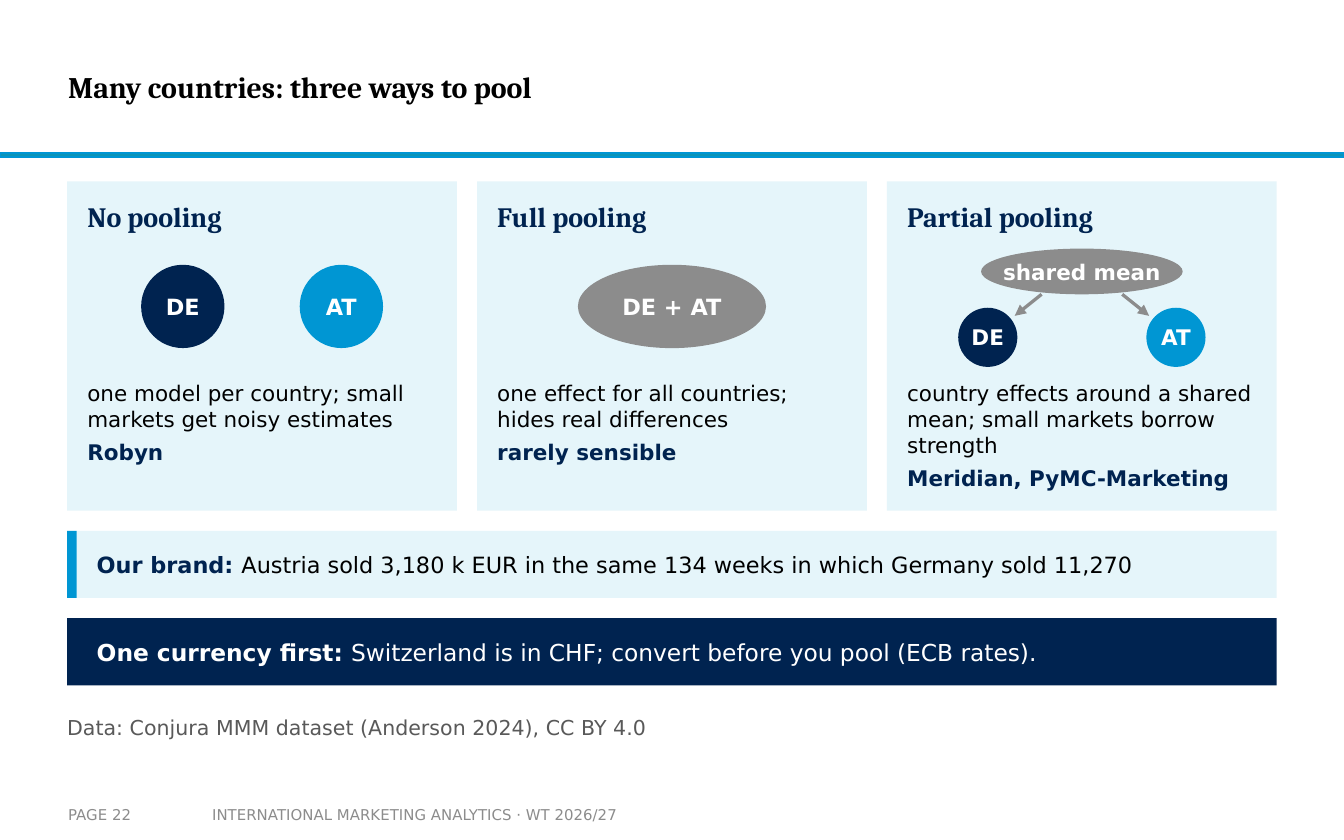
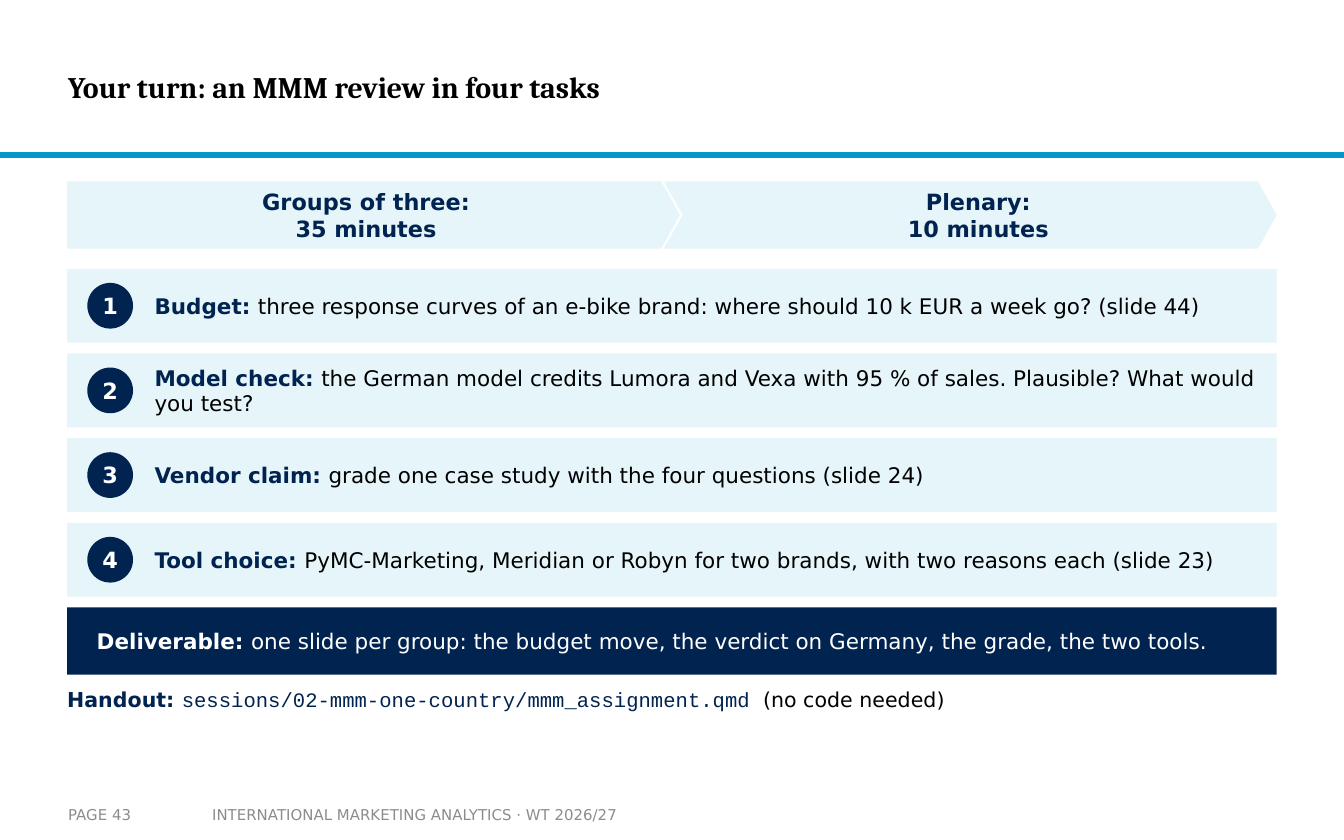
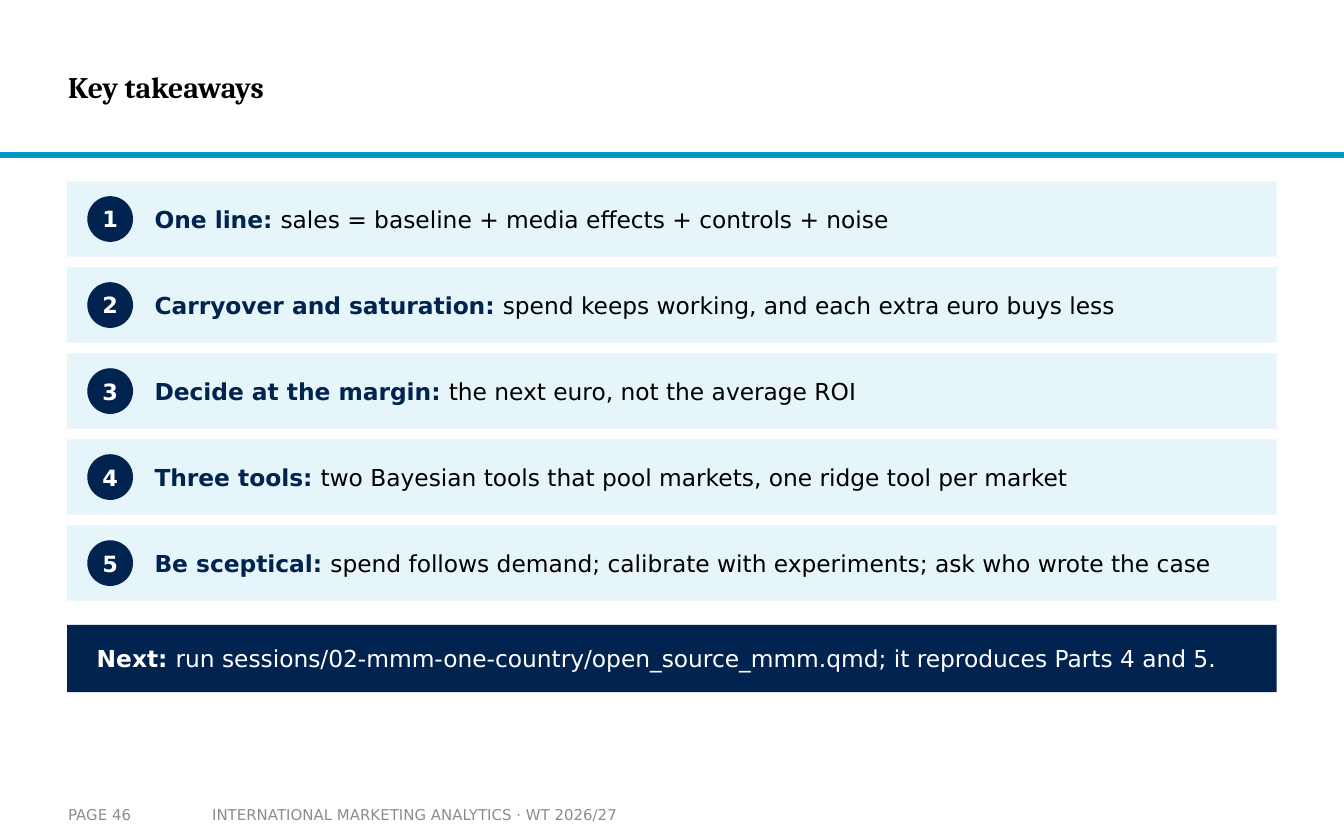
from lxml import etree
from pptx import Presentation
from pptx.dml.color import RGBColor
from pptx.enum import shapes, text
from pptx.oxml import ns
from pptx.util import Pt

NAVY, BLUE, PALE, GREY = "002350", "0096D3", "E5F5FA", "8C8C8C"
BLACK, WHITE, NOTE, BAND = "000000", "FFFFFF", "595959", "0C94B7"
SERIF, SANS, MONO = "Cambria", "DejaVu Sans", "Courier New"
SHAPE, ALIGN, ANCHOR = shapes.MSO_SHAPE, text.PP_ALIGN, text.MSO_ANCHOR
LEFT, TOP, WIDTH = 36, 97.2, 648
BAR_H = 36


def rgb(color):
    return RGBColor.from_string(color)


class Deck:
    def __init__(self):
        self.prs = Presentation()
        self.prs.slide_width, self.prs.slide_height = Pt(720), Pt(450)
        self.s = None

    def slide(self, title, page):
        self.s = self.prs.slides.add_slide(self.prs.slide_layouts[5])
        self.box(0, 82.08, 720, 2.16, BAND, line=BLUE)
        sp = self.s.shapes.title
        sp.left, sp.top, sp.width, sp.height = Pt(36.5), Pt(10.8), Pt(538.5), Pt(71.28)
        self.set_text(sp.text_frame, [[(title, BLACK, True, SERIF)]], 16)
        for x, w, inset, footer in (
            (106.56, 253.44, 7.2, "INTERNATIONAL MARKETING ANALYTICS · WT 2026/27"),
            (36.5, 70.56, 0, f"PAGE {page}"),
        ):
            self.label(x, 426.24, w, 20.16, [[(footer, GREY, False)]], 8,
                       insets=(inset, 3.6, inset, 3.6))

    def set_text(self, tf, paragraphs, size, align=ALIGN.LEFT, anchor=ANCHOR.MIDDLE,
                 insets=(0, 0, 0, 0), wrap=True, after=0):
        tf.word_wrap = wrap
        tf.auto_size = text.MSO_AUTO_SIZE.NONE
        tf.vertical_anchor = anchor
        tf.margin_left, tf.margin_top, tf.margin_right, tf.margin_bottom = map(Pt, insets)
        for i, runs in enumerate(paragraphs):
            p = tf.add_paragraph() if i else tf.paragraphs[0]
            p.alignment = align
            p.space_before, p.space_after = Pt(0), Pt(after)
            for words, color, bold, *font in runs:
                r = p.add_run()
                r.text = words
                r.font.size, r.font.bold = Pt(size), bold
                r.font.name = font[0] if font else SANS
                r.font.color.rgb = rgb(color)

    def label(self, x, y, w, h, paragraphs, size, **style):
        sp = self.s.shapes.add_textbox(Pt(x), Pt(y), Pt(w), Pt(h))
        self.set_text(sp.text_frame, paragraphs, size, **style)

    def box(self, x, y, w, h, fill, kind=SHAPE.RECTANGLE, line=None):
        sp = self.s.shapes.add_shape(kind, Pt(x), Pt(y), Pt(w), Pt(h))
        sp.shadow.inherit = False
        sp.fill.solid()
        sp.fill.fore_color.rgb = rgb(fill)
        if line:
            sp.line.color.rgb = rgb(line)
            sp.line.width = Pt(1)
        else:
            sp.line.fill.background()
        return sp

    def disc(self, cx, cy, w, h, fill, words, size=12):
        sp = self.box(cx - w / 2, cy - h / 2, w, h, fill, SHAPE.OVAL)
        self.set_text(sp.text_frame, [[(words, WHITE, True)]], size,
                      align=ALIGN.CENTER, wrap=False)

    def arrow(self, x1, y1, x2, y2):
        c = self.s.shapes.add_connector(shapes.MSO_CONNECTOR.STRAIGHT,
                                        Pt(x1), Pt(y1), Pt(x2), Pt(y2))
        c.line.color.rgb = rgb(GREY)
        c.line.width = Pt(1.75)
        props = c._element.spPr
        etree.SubElement(props.find(ns.qn("a:ln")), ns.qn("a:tailEnd"), type="triangle")
        etree.SubElement(props, ns.qn("a:effectLst"))

    def bar(self, y, lead, rest, size, dark=True):
        sp = self.box(LEFT, y, WIDTH, BAR_H, NAVY if dark else PALE)
        if not dark:
            self.box(LEFT, y, 5.04, BAR_H, BLUE)
        lead_color, rest_color = (WHITE, WHITE) if dark else (NAVY, BLACK)
        self.set_text(sp.text_frame, [[(lead, lead_color, True), (rest, rest_color, False)]],
                      size, insets=(15.84, 0, 7.2, 0))

    def rows(self, top, height, pitch, size, items):
        for i, (lead, rest) in enumerate(items):
            y = top + i * pitch
            sp = self.box(LEFT, y, WIDTH, height, PALE)
            self.set_text(sp.text_frame, [[(lead, NAVY, True), (rest, BLACK, False)]],
                          size, insets=(46.8, 0, 10.8, 0))
            self.disc(LEFT + 23.04, y + height / 2, 24.48, 24.48, NAVY, str(i + 1))

    def card(self, x, w, heading, body, verdict):
        self.box(x, TOP, w, 176.4, PALE)
        inner = x + 10.8, w - 21.6
        self.label(inner[0], 102.96, inner[1], 25.92, [[(heading, NAVY, True, SERIF)]], 15)
        self.label(inner[0], 203.76, inner[1], 64.8,
                   [[(body, BLACK, False)], [(verdict, NAVY, True)]], 11.5,
                   anchor=ANCHOR.TOP, after=4)

    def stage(self, x, kind, left_inset, lines):
        sp = self.box(x, TOP, 328.32, BAR_H, PALE, kind)
        sp.adjustments[0] = 0.28
        self.set_text(sp.text_frame, [[(line, NAVY, True)] for line in lines], 12,
                      align=ALIGN.CENTER, insets=(left_inset, 1.44, 10.08, 1.44))


def pooling_slide(d):
    d.slide("Many countries: three ways to pool", 22)
    card_w, gap = 208.8, 10.8
    cards = (
        ("No pooling", "one model per country; small markets get noisy estimates", "Robyn"),
        ("Full pooling", "one effect for all countries; hides real differences",
         "rarely sensible"),
        ("Partial pooling",
         "country effects around a shared mean; small markets borrow strength",
         "Meridian, PyMC-Marketing"),
    )
    lefts = [LEFT + i * (card_w + gap) for i in range(len(cards))]
    for x, content in zip(lefts, cards):
        d.card(x, card_w, *content)
    full_mid, partial_mid = (x + card_w / 2 for x in lefts[1:])
    middle, size = 164.16, 44.64
    d.disc(lefts[0] + 61.92, middle, size, size, NAVY, "DE")
    d.disc(lefts[0] + 146.88, middle, size, size, BLUE, "AT")
    d.disc(full_mid, middle, 100.8, size, GREY, "DE + AT")
    d.disc(partial_mid, 145.44, 108, 24.48, GREY, "shared mean", 11.5)
    for side, color, country in ((-1, NAVY, "DE"), (1, BLUE, "AT")):
        d.disc(partial_mid + side * 50.4, 180.72, 31.68, 31.68, color, country, 11.5)
        d.arrow(partial_mid + side * 21.6, 157.68, partial_mid + side * 36, 169.2)
    d.bar(284.4, "Our brand: ",
          "Austria sold 3,180 k EUR in the same 134 weeks in which Germany sold 11,270",
          12, dark=False)
    d.bar(331.2, "One currency first: ",
          "Switzerland is in CHF; convert before you pool (ECB rates).", 12.5)
    d.label(LEFT, 379.44, WIDTH, 20.16,
            [[("Data: Conjura MMM dataset (Anderson 2024), CC BY 4.0", NOTE, False)]], 11)


def tasks_slide(d):
    d.slide("Your turn: an MMM review in four tasks", 43)
    d.stage(LEFT, SHAPE.PENTAGON, 7.2, ("Groups of three:", "35 minutes"))
    d.stage(355.68, SHAPE.CHEVRON, 18.72, ("Plenary:", "10 minutes"))
    d.rows(144, 39.6, 45.36, 11.5, (
        ("Budget: ",
         "three response curves of an e-bike brand: where should 10 k EUR a week go? (slide 44)"),
        ("Model check: ",
         "the German model credits Lumora and Vexa with 95 % of sales. "
         "Plausible? What would you test?"),
        ("Vendor claim: ", "grade one case study with the four questions (slide 24)"),
        ("Tool choice: ",
         "PyMC-Marketing, Meridian or Robyn for two brands, with two reasons each (slide 23)"),
    ))
    d.bar(325.44, "Deliverable: ",
          "one slide per group: the budget move, the verdict on Germany, the grade, "
          "the two tools.", 11.5)
    d.label(LEFT, 363.6, WIDTH, 21.6, [[
        ("Handout: ", NAVY, True),
        ("sessions/02-mmm-one-country/mmm_assignment.qmd ", NAVY, False, MONO),
        ("(no code needed)", BLACK, False),
    ]], 11)


def takeaways_slide(d):
    d.slide("Key takeaways", 46)
    d.rows(TOP, 40.32, 46.08, 12.5, (
        ("One line: ", "sales = baseline + media effects + controls + noise"),
        ("Carryover and saturation: ", "spend keeps working, and each extra euro buys less"),
        ("Decide at the margin: ", "the next euro, not the average ROI"),
        ("Three tools: ", "two Bayesian tools that pool markets, one ridge tool per market"),
        ("Be sceptical: ",
         "spend follows demand; calibrate with experiments; ask who wrote the case"),
    ))
    d.bar(334.8, "Next: ",
          "run sessions/02-mmm-one-country/open_source_mmm.qmd; it reproduces Parts 4 and 5.",
          12.5)


def main():
    d = Deck()
    pooling_slide(d)
    tasks_slide(d)
    takeaways_slide(d)
    d.prs.save("out.pptx")


if __name__ == "__main__":
    main()
